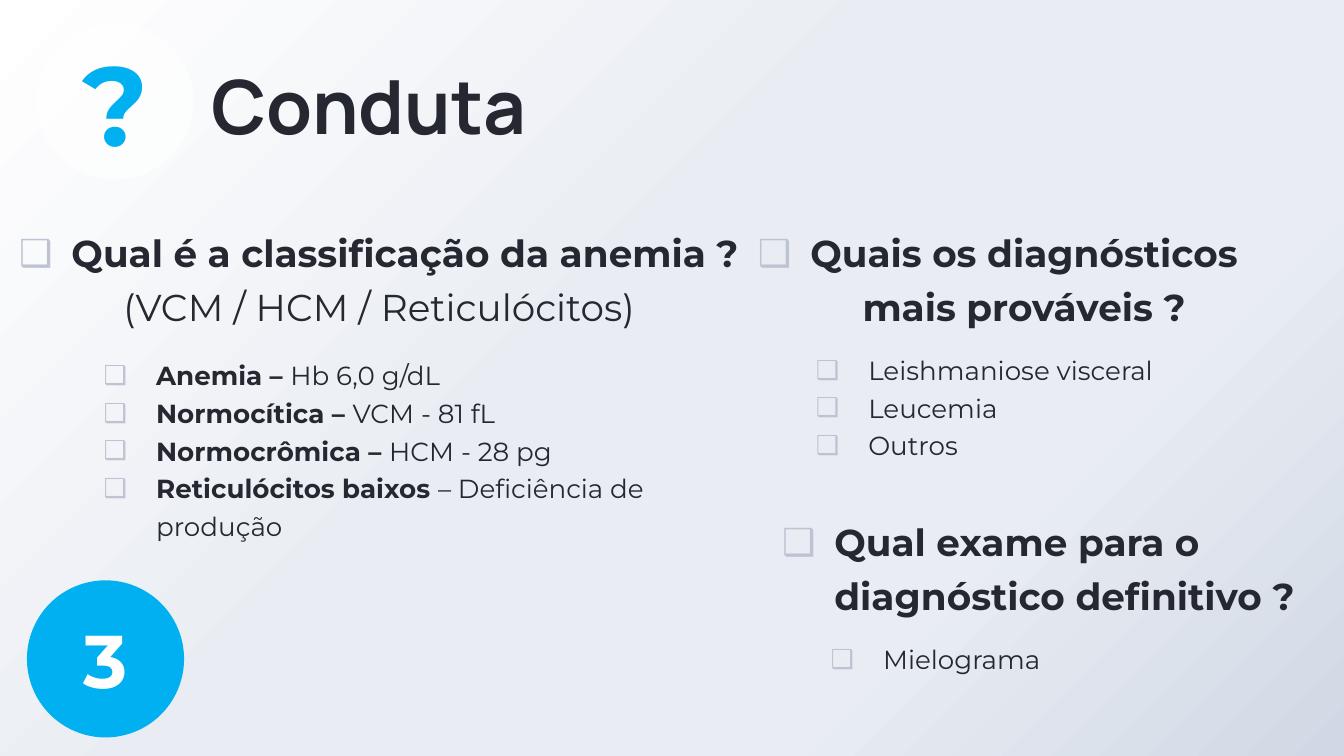
from lxml import etree
from pptx import Presentation
from pptx.dml.color import RGBColor
from pptx.enum.shapes import MSO_SHAPE
from pptx.enum.text import MSO_ANCHOR, MSO_AUTO_SIZE, PP_ALIGN
from pptx.oxml.ns import qn
from pptx.util import Cm, Pt

OVAL = MSO_SHAPE.OVAL
TOP, MIDDLE, BOTTOM = MSO_ANCHOR.TOP, MSO_ANCHOR.MIDDLE, MSO_ANCHOR.BOTTOM
LEFT, CENTER = PP_ALIGN.LEFT, PP_ALIGN.CENTER
NO_FIT = MSO_AUTO_SIZE.NONE
COMPARISON_LAYOUT = 4

COLORS = {
    "text": "252831",
    "accent": "00B0F0",
    "white": "FFFFFF",
    "bullet": "BDC3D3",
    "mist": "E9EDF3",
    "steel": "D0D8E5",
}


class SlideBuilder:
    title_font = "Manrope"
    body_font = "Montserrat"
    heading_size = 20
    item_size = 14
    line_spacing = 1.2
    bullet = "❑"
    margin, hanging = 1.27, -0.99

    def __init__(self, slide):
        self.slide = slide

    def style_run(self, run, size, bold, color="text", name=None):
        run.font.name = name or self.body_font
        run.font.size = Pt(size)
        run.font.bold = bold
        run.font.color.rgb = RGBColor.from_string(COLORS[color])

    def place(self, shape, box):
        shape.left, shape.top, shape.width, shape.height = map(Cm, box)

    def prepare_frame(self, frame, anchor):
        frame.auto_size = NO_FIT
        frame.word_wrap = True
        frame.vertical_anchor = anchor
        frame.margin_left = frame.margin_right = 0
        frame.margin_top = frame.margin_bottom = 0

    def background(self, stops):
        fill = self.slide.background.fill
        fill.solid()
        properties = self.slide.element.cSld.bg.bgPr
        gradient = etree.Element(qn("a:gradFill"), rotWithShape="1")
        stop_list = etree.SubElement(gradient, qn("a:gsLst"))
        for position, color in stops:
            stop = etree.SubElement(stop_list, qn("a:gs"), pos=str(position * 1000))
            etree.SubElement(stop, qn("a:srgbClr"), val=COLORS[color])
        path = etree.SubElement(gradient, qn("a:path"))
        path.set("path", "circle")
        etree.SubElement(path, qn("a:fillToRect"), r="100000", b="100000")
        properties.replace(properties.find(qn("a:solidFill")), gradient)

    def title(self, text, box):
        shape = self.slide.shapes.title
        self.place(shape, box)
        frame = shape.text_frame
        self.prepare_frame(frame, BOTTOM)
        frame.text = text
        paragraph = frame.paragraphs[0]
        paragraph.alignment = LEFT
        self.style_run(paragraph.runs[0], 40, True, name=self.title_font)

    def circle(self, text, left, top, size, fill, color, opacity=100):
        diameter = Cm(2.97)
        shape = self.slide.shapes.add_shape(OVAL, Cm(left), Cm(top), diameter, diameter)
        shape.shadow.inherit = False
        shape.fill.solid()
        shape.fill.fore_color.rgb = RGBColor.from_string(COLORS[fill])
        shape.line.fill.background()
        if opacity < 100:
            fill_color = shape.element.spPr.find(qn("a:solidFill"))[0]
            etree.SubElement(fill_color, qn("a:alpha"), val=str(opacity * 1000))
        frame = shape.text_frame
        frame.vertical_anchor = MIDDLE
        frame.text = text
        paragraph = frame.paragraphs[0]
        paragraph.alignment = CENTER
        self.style_run(paragraph.runs[0], size, True, color)

    def set_bullet(self, paragraph, bulleted):
        properties = paragraph._p.get_or_add_pPr()
        margin, indent = (self.margin, self.hanging) if bulleted else (0.28, 0)
        properties.set("marL", str(Cm(margin)))
        properties.set("indent", str(Cm(indent)))
        if not bulleted:
            etree.SubElement(properties, qn("a:buNone"))
            return
        color = etree.SubElement(properties, qn("a:buClr"))
        etree.SubElement(color, qn("a:srgbClr"), val=COLORS["bullet"])
        etree.SubElement(properties, qn("a:buFont"), typeface=self.body_font)
        etree.SubElement(properties, qn("a:buChar"), char=self.bullet)

    def text_list(self, lines, box, size, alignment=LEFT, placeholder=None):
        """Each line is (bold text, regular text, bulleted)."""
        if placeholder is None:
            shape = self.slide.shapes.add_textbox(*map(Cm, box))
        else:
            shape = self.slide.placeholders[placeholder]
            self.place(shape, box)
        frame = shape.text_frame
        self.prepare_frame(frame, TOP)
        for index, (strong, regular, bulleted) in enumerate(lines):
            paragraph = frame.add_paragraph() if index else frame.paragraphs[0]
            self.set_bullet(paragraph, bulleted)
            paragraph.alignment = alignment
            paragraph.line_spacing = self.line_spacing
            paragraph.space_before = Pt(0)
            for text, bold in ((strong, True), (regular, False)):
                if text:
                    run = paragraph.add_run()
                    run.text = text
                    self.style_run(run, size, bold)

    def heading(self, lines, box, alignment=LEFT, placeholder=None):
        self.text_list(lines, box, self.heading_size, alignment, placeholder)

    def items(self, pairs, box, placeholder=None):
        lines = [(strong, regular, True) for strong, regular in pairs]
        self.text_list(lines, box, self.item_size, placeholder=placeholder)


def main():
    presentation = Presentation()
    presentation.slide_width, presentation.slide_height = Cm(25.4), Cm(14.29)
    layout = presentation.slide_layouts[COMPARISON_LAYOUT]
    builder = SlideBuilder(presentation.slides.add_slide(layout))

    # Background and title
    builder.background([(0, "white"), (44, "mist"), (72, "mist"), (100, "steel")])
    builder.title("Conduta", (3.99, 1.02, 7.06, 1.8))

    # Number and question mark circles
    builder.circle("3", 0.51, 10.97, 40, "accent", "white")
    builder.circle("?", 0.69, 0.43, 60, "white", "accent", opacity=69)

    # Anemia classification
    builder.heading(
        [("Qual é a classificação da anemia ?", "", True),
         ("", "(VCM / HCM / Reticulócitos)", False)],
        (0, 4.19, 14.05, 2.21), CENTER, placeholder=1)
    builder.items(
        [("Anemia – ", "Hb 6,0 g/dL"),
         ("Normocítica – ", "VCM - 81 fL"),
         ("Normocrômica – ", "HCM - 28 pg"),
         ("Reticulócitos baixos ", "– Deficiência de produção")],
        (1.68, 6.68, 11.76, 3.68), placeholder=2)

    # Probable diagnoses
    builder.heading([("Quais os diagnósticos mais prováveis ?", "", True)],
                    (13.69, 4.19, 10.06, 1.24), CENTER, placeholder=3)
    builder.items([("", "Leishmaniose visceral"), ("", "Leucemia"), ("", "Outros")],
                  (15.14, 6.58, 7.52, 2.03), placeholder=4)

    # Definitive exam
    builder.heading([("Qual exame para o diagnóstico definitivo ?", "", True)],
                    (14.5, 9.65, 10.39, 2.21))
    builder.items([("", "Mielograma")], (15.42, 12.04, 9.22, 1.24))

    presentation.save("out.pptx")


if __name__ == "__main__":
    main()
